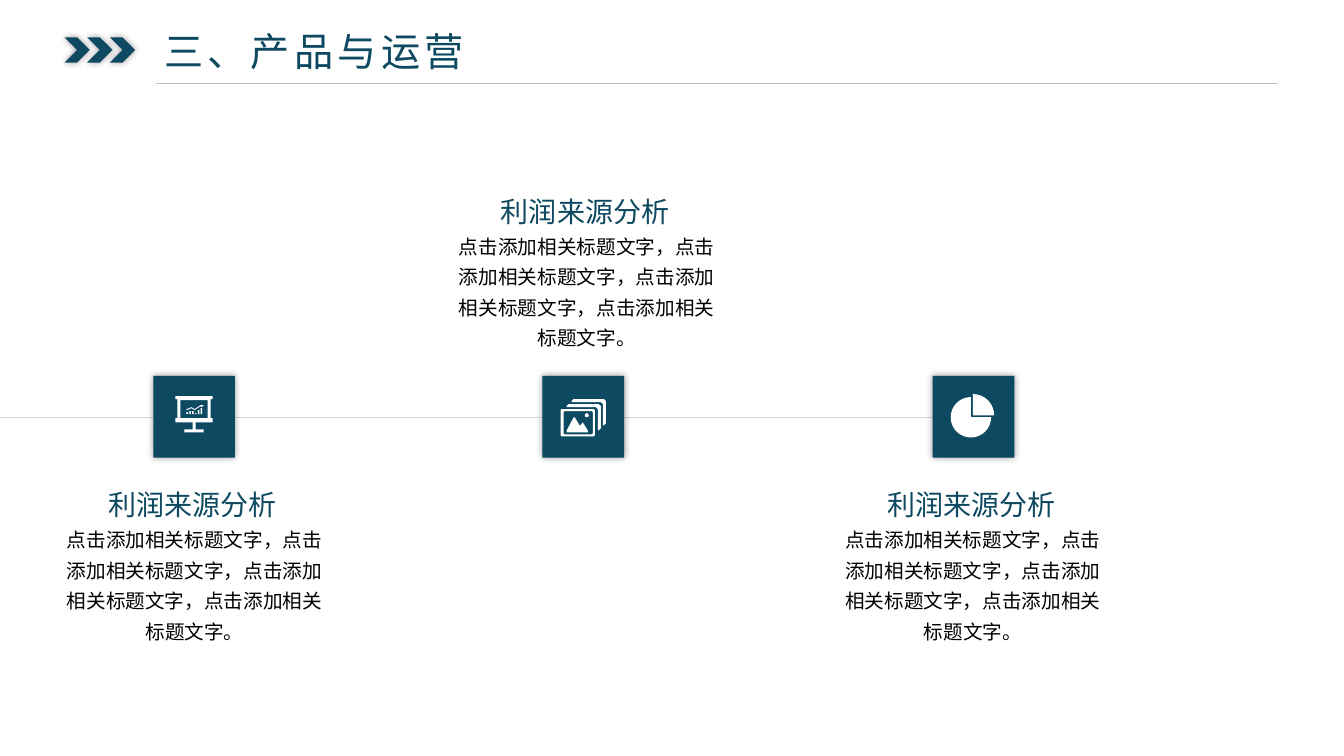
from math import cos, sin, radians
from lxml import etree
from pptx import Presentation
from pptx.util import Inches, Pt
from pptx.dml.color import RGBColor
from pptx.enum.shapes import MSO_SHAPE as SHAPE, MSO_CONNECTOR as CONNECTOR
from pptx.enum.text import MSO_AUTO_SIZE as AUTO, PP_ALIGN as ALIGN
from pptx.oxml import parse_xml
from pptx.oxml.ns import qn, nsdecls

# Content
SECTION = "三、产品与运营"
HEADING = "利润来源分析"
BODY = "点击添加相关标题文字，点击添加相关标题文字，点击添加相关标题文字，点击添加相关标题文字。"
# tile left, heading left, heading top
STEPS = [(1.52, 0.98, 4.69), (5.38, 4.87, 1.78), (9.25, 8.70, 4.69)]
COLORS = {"navy": "0D4960", "white": "FFFFFF", "black": "000000",
          "rule": "BFBFBF", "timeline": "D5D5D5"}
HEAD_FONT, BODY_FONT = "Noto Sans CJK JP", "Noto Sans CJK SC"
TILE_TOP, TILE_SIZE, TIMELINE_Y = 3.73, 0.81, 4.14

# Icon outlines, in inches on the slide
BOARD = [(1.74, 3.93), (2.11, 3.93), (2.11, 3.96), (2.09, 3.96), (2.09, 4.15),
         (2.11, 4.15), (2.11, 4.19), (1.94, 4.19), (1.94, 4.26), (2.02, 4.26),
         (2.02, 4.29), (1.83, 4.29), (1.83, 4.26), (1.91, 4.26), (1.91, 4.19),
         (1.74, 4.19), (1.74, 4.15), (1.76, 4.15), (1.76, 3.96), (1.74, 3.96)]
TREND = [(2.02, 4.02), (1.99, 4.02), (1.93, 4.06), (1.90, 4.04), (1.85, 4.06),
         (1.85, 4.07), (1.90, 4.05), (1.93, 4.07), (1.99, 4.03), (2.00, 4.04)]
BAR_TOPS = [4.09, 4.08, 4.08, 4.10, 4.07, 4.05]
BAR_LEFT, BAR_BASE, BAR_PITCH = 1.85, 4.11, 0.14 / 5
PHOTO_EDGE = [(0.02, 0), (0.32, 0), (0.34, 0.02), (0.34, 0.24), (0.32, 0.26),
              (0.31, 0.26), (0.31, 0.05), (0.29, 0.03), (0, 0.03), (0, 0.02)]
PHOTO_EDGES_AT = [(5.62, 4.01), (5.67, 3.96)]
MOUNTAINS = [(5.69, 4.14), (5.62, 4.27), (5.62, 4.29), (5.83, 4.29), (5.83, 4.27),
             (5.78, 4.19), (5.74, 4.24), (5.75, 4.22), (5.70, 4.14)]

prs = Presentation()
prs.slide_width, prs.slide_height = Inches(13.33), Inches(7.5)
shapes = prs.slides.add_slide(prs.slide_layouts[6]).shapes


def color(name):
    return RGBColor.from_string(COLORS[name])


def paint(shape, fill):
    shape.shadow.inherit = False
    shape.fill.solid()
    shape.fill.fore_color.rgb = color(fill)
    shape.line.fill.background()


def add_preset(kind, x, y, w, h, fill="navy", glow=True):
    shape = shapes.add_shape(kind, Inches(x), Inches(y), Inches(w), Inches(h))
    paint(shape, fill)
    if glow:
        effects = shape._element.spPr.find(qn("a:effectLst"))
        effects.append(parse_xml(
            f'<a:outerShdw {nsdecls("a")} blurRad="{Pt(5)}" dist="0" algn="ctr">'
            f'<a:srgbClr val="{COLORS["black"]}"><a:alpha val="40000"/></a:srgbClr>'
            '</a:outerShdw>'))


def add_outline(*contours):
    builder = None
    for contour in contours:
        (x, y), *rest = [(Inches(px), Inches(py)) for px, py in contour]
        if builder is None:
            builder = shapes.build_freeform(x, y)
        else:
            builder.move_to(x, y)
        builder.add_line_segments(rest, close=True)
    paint(builder.convert_to_shape(), "white")


def add_rule(x1, x2, y, stroke, width):
    rule = shapes.add_connector(CONNECTOR.STRAIGHT, Inches(x1), Inches(y), Inches(x2), Inches(y))
    rule.line.color.rgb = color(stroke)
    rule.line.width = Pt(width)
    etree.SubElement(rule._element.spPr, qn("a:effectLst"))


def add_text(text, x, y, w, h, size, font, ink, wrap=True, spacing=None,
             align=ALIGN.LEFT, tracking=None, insets=(0.1, 0.05)):
    frame = shapes.add_textbox(Inches(x), Inches(y), Inches(w), Inches(h)).text_frame
    frame.text = text
    frame.word_wrap = wrap
    frame.auto_size = AUTO.SHAPE_TO_FIT_TEXT
    frame.margin_left = frame.margin_right = Inches(insets[0])
    frame.margin_top = frame.margin_bottom = Inches(insets[1])
    paragraph = frame.paragraphs[0]
    paragraph.alignment = align
    paragraph.line_spacing = spacing
    run = paragraph.runs[0]
    run.font.size, run.font.name = Pt(size), font
    run.font.color.rgb = color(ink)
    props = run._r.get_or_add_rPr()
    props.set("lang", "zh-CN")
    etree.SubElement(props, qn("a:ea")).set("typeface", font)
    if tracking:
        props.set("spc", str(tracking * 100))


def box(x1, y1, x2, y2, cut=0):
    """Rectangle with corners trimmed by cut."""
    if not cut:
        return [(x1, y1), (x2, y1), (x2, y2), (x1, y2)]
    return [(x1 + cut, y1), (x2 - cut, y1), (x2, y1 + cut), (x2, y2 - cut),
            (x2 - cut, y2), (x1 + cut, y2), (x1, y2 - cut), (x1, y1 + cut)]


def wedge(x, y, radius, start, end):
    return [(x, y)] + [(x + radius * cos(radians(a)), y + radius * sin(radians(a)))
                       for a in range(start, end + 1, 5)]


# Header
for i in range(3):
    add_preset(SHAPE.CHEVRON, 0.64 + 0.225 * i, 0.37, 0.25, 0.25)
add_text(SECTION, 1.55, 0.23, 5.8, 0.55, 28, HEAD_FONT, "navy",
         tracking=3, insets=(0.08, 0.04))
add_rule(1.55, 12.68, 0.83, "rule", 0.5)

# Timeline with tiles and captions
add_rule(0, 9.73, TIMELINE_Y, "timeline", 1)
for tile_x, heading_x, heading_y in STEPS:
    add_preset(SHAPE.RECTANGLE, tile_x, TILE_TOP, TILE_SIZE, TILE_SIZE)
    add_text(HEADING, heading_x, heading_y, 1.88, 0.5, 20, HEAD_FONT, "navy",
             wrap=False, spacing=1.3)
    add_text(BODY, heading_x - 0.42, heading_y + 0.43, 2.74, 1.33, 14, BODY_FONT,
             "black", spacing=1.3, align=ALIGN.CENTER)

# Presentation board icon
bars = [box(x, top, x + BAR_PITCH * 0.55, BAR_BASE)
        for x, top in ((BAR_LEFT + BAR_PITCH * i, t) for i, t in enumerate(BAR_TOPS))]
add_outline(BOARD, box(1.79, 3.97, 2.06, 4.15), TREND, *bars)

# Photo stack icon
add_outline(box(5.56, 4.06, 5.90, 4.33, 0.01), box(5.59, 4.08, 5.88, 4.31, 0.01))
for left, top in PHOTO_EDGES_AT:
    add_outline([(left + dx, top + dy) for dx, dy in PHOTO_EDGE])
add_outline(MOUNTAINS)
add_preset(SHAPE.OVAL, 5.80, 4.10, 0.04, 0.04, "white", glow=False)

# Pie icon
add_outline(wedge(9.63, 4.14, 0.2, 0, 270))
add_outline(wedge(9.65, 4.12, 0.21, 270, 360))

prs.save("out.pptx")
